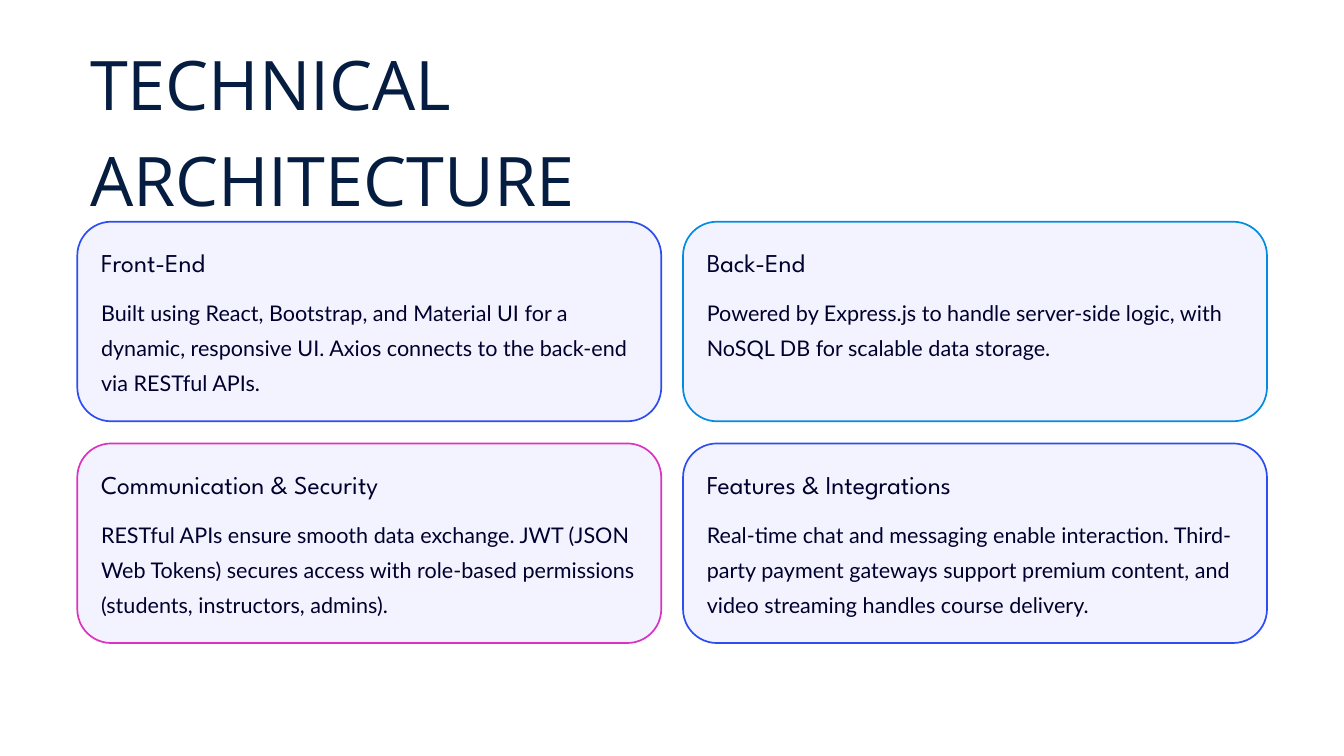
import pptx
import pptx.util
import pptx.dml.color
import pptx.enum.shapes
import pptx.enum.text

Pt = pptx.util.Pt
deck = pptx.Presentation()
deck.slide_width = pptx.util.Inches(20)
deck.slide_height = pptx.util.Inches(11.25)
slide = deck.slides.add_slide(deck.slide_layouts[6])

hues = {"title": "051D40", "ink": "00002E", "card": "F3F3FF",
        "blue": "2D4DF2", "sky": "018CE1", "pink": "DA33BF"}


def place(left, top, width, height):
    wide, high = deck.slide_width / 100, deck.slide_height / 100
    return [round(n) for n in (left * wide, top * high, width * wide, height * high)]


def write(area, words, font, size, pitch, hue, wrap=True):
    frame = slide.shapes.add_textbox(*place(*area)).text_frame
    frame.margin_left = frame.margin_right = 0
    frame.margin_top = frame.margin_bottom = 0
    frame.word_wrap = wrap
    frame.auto_size = pptx.enum.text.MSO_AUTO_SIZE.NONE
    frame.text = words
    line = frame.paragraphs[0]
    line.line_spacing = Pt(pitch)
    run = line.runs[0]
    run.font.name = font
    run.font.size = Pt(size)
    run.font.color.rgb = pptx.dml.color.RGBColor.from_string(hues[hue])


cards = [
    ("Front-End", "blue", 19.25,
     "Built using React, Bootstrap, and Material UI for a dynamic, responsive UI. "
     "Axios connects to the back-end via RESTful APIs."),
    ("Back-End", "sky", 19.25,
     "Powered by Express.js to handle server-side logic, with NoSQL DB for scalable data storage."),
    ("Communication & Security", "pink", 23.15,
     "RESTful APIs ensure smooth data exchange. JWT (JSON Web Tokens) secures access "
     "with role-based permissions (students, instructors, admins)."),
    ("Features & Integrations", "blue", 20.5,
     "Real-time chat and messaging enable interaction. Third-party payment gateways "
     "support premium content, and video streaming handles course delivery."),
]

for place_no, (head, edge, span, body) in enumerate(cards):
    row, col = divmod(place_no, 2)
    left = 5.75 + col * 45.07
    top = 29.33 * (row + 1)
    card = slide.shapes.add_shape(pptx.enum.shapes.MSO_SHAPE.ROUNDED_RECTANGLE,
                                  *place(left, top, 43.45, 26.4))
    card.adjustments[0] = 0.17
    card.shadow.inherit = False
    card.fill.solid()
    card.fill.fore_color.rgb = pptx.dml.color.RGBColor.from_string(hues["card"])
    card.line.color.rgb = pptx.dml.color.RGBColor.from_string(hues[edge])
    card.line.width = Pt(1.8)
    inner = left + 1.77
    write((inner, top + 3.2, span, 4.27), head, "League Spartan", 27.5, 34.4, "ink", False)
    write((inner, top + 9.2, 39.85, 13.96), body, "Lato", 23.1, 37.5, "ink")

write((6.7, 3.82, 56.25, 24.62), "TECHNICAL ARCHITECTURE", "Open Sans", 73.2, 102.5, "title")

deck.save("out.pptx")
